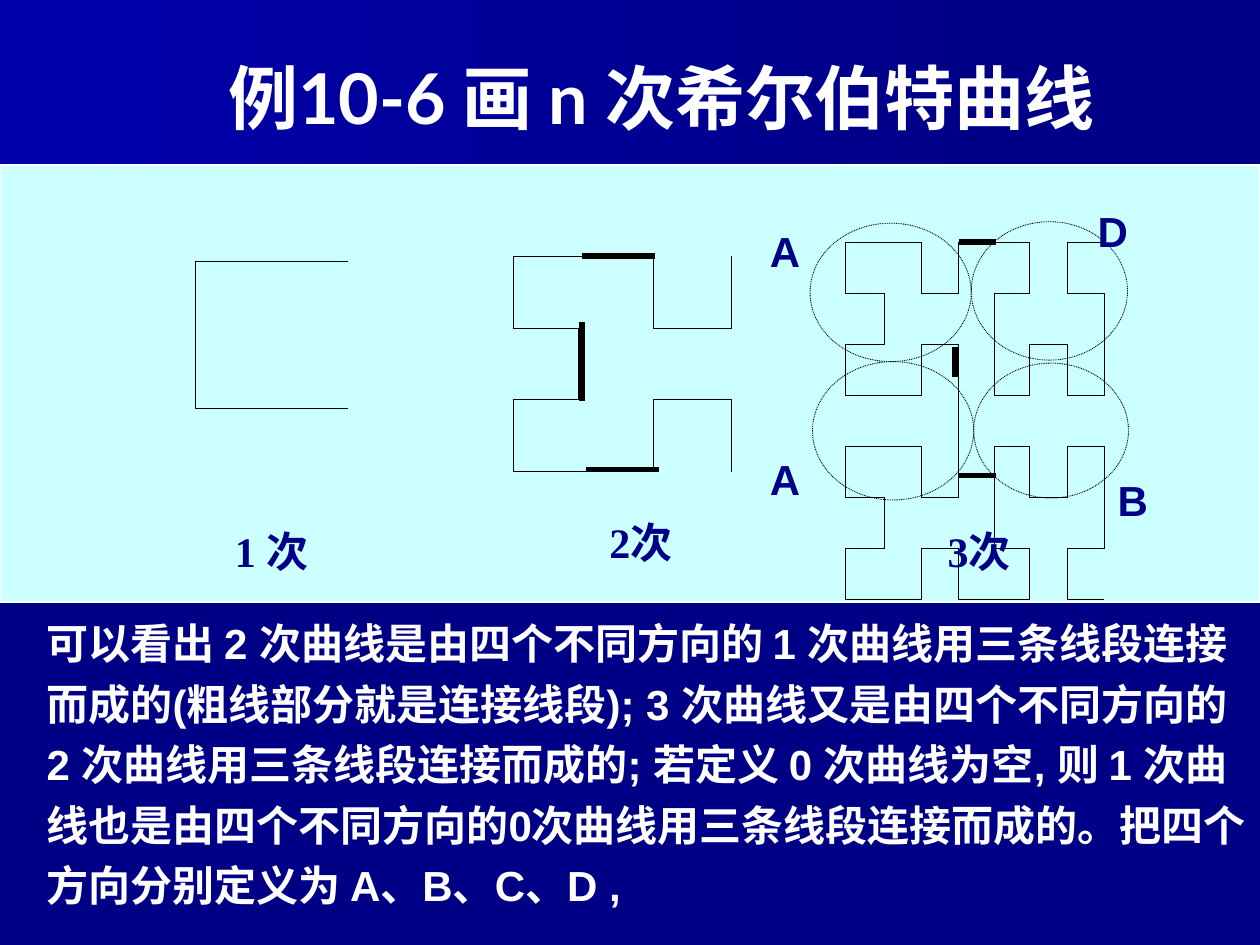
import pptx
import pptx.dml.color
import pptx.enum.dml
import pptx.enum.shapes
import pptx.enum.text
import pptx.oxml
import pptx.util
from lxml import etree
from pptx.oxml.ns import qn

Cm = pptx.util.Cm
Pt = pptx.util.Pt
SHAPES = pptx.enum.shapes.MSO_SHAPE
ALIGN = pptx.enum.text.PP_ALIGN
ANCHOR = pptx.enum.text.MSO_ANCHOR

COLORS = {
    "navy": "000086",
    "deep": "00007D",
    "bright": "0000AC",
    "panel": "CCFFFF",
    "white": "FFFFFF",
    "black": "000000",
}
NO_GRID_STYLE = "{2D5ABB26-0587-4C30-8999-92F81FD0307C}"
BODY = (
    "可以看出 2 次曲线是由四个不同方向的 1 次曲线用三条线段连接而成的(粗线部分就是连接线段); "
    "3 次曲线又是由四个不同方向的 2 次曲线用三条线段连接而成的; 若定义 0 次曲线为空, "
    "则 1 次曲线也是由四个不同方向的0次曲线用三条线段连接而成的。"
    "把四个方向分别定义为 A、B、C、D ,"
)


def rgb(name):
    return pptx.dml.color.RGBColor.from_string(COLORS[name])


def add_text(page, box, text, size, font, color, align=ALIGN.LEFT,
             anchor=ANCHOR.TOP, inset=(0.25, 0.13), spacing=None):
    shape = page.shapes.add_textbox(*map(Cm, box))
    frame = shape.text_frame
    frame.word_wrap = True
    frame.vertical_anchor = anchor
    frame.margin_left = frame.margin_right = Cm(inset[0])
    frame.margin_top = frame.margin_bottom = Cm(inset[1])
    para = frame.paragraphs[0]
    para.text = text
    para.alignment = align
    para.line_spacing = spacing
    para.font.size = Pt(size)
    para.font.name = font
    para.font.bold = True
    para.font.color.rgb = rgb(color)


def add_backdrop(page, box):
    """Draw the two slanted gradient bands behind the title."""
    left, top, width, height = box
    bands = [
        ([(7.78, 1.53), (0, 2.17), (0, 1.01), (7.79, 1.01), (7.78, 1.28)], "deep"),
        ([(7.92, 1.62), (0, 2.08), (0, 0), (7.92, 0)], "bright"),
    ]
    unit = width / 10
    for corners, color in bands:
        points = [(Cm(left + x * unit), Cm(top + y * unit)) for x, y in corners]
        builder = page.shapes.build_freeform(*points[0])
        builder.add_line_segments(points[1:], close=True)
        band = builder.convert_to_shape()
        band.shadow.inherit = False
        band.line.fill.background()
        band.fill.gradient()
        band.fill.gradient_angle = 180
        for stop, name in zip(band.fill.gradient_stops, ("navy", color)):
            stop.color.rgb = rgb(name)


def hilbert(order):
    """Return the grid points of the curve that opens to the right."""
    if order == 0:
        return [(0, 0)]
    small = hilbert(order - 1)
    side = 2 ** (order - 1)
    return ([(2 * side - 1 - y, side - 1 - x) for x, y in small]
            + small
            + [(x, y + side) for x, y in small]
            + [(y + side, x + side) for x, y in small])


def curve_borders(order):
    """Return the (row, column, side) cell borders that trace the curve."""
    borders = set()
    points = hilbert(order)
    for (x1, y1), (x2, y2) in zip(points, points[1:]):
        x, y = min(x1, x2), min(y1, y2)
        if y1 == y2:
            borders |= {(y, x, "T"), (y - 1, x, "B")}
        else:
            borders |= {(y, x, "L"), (y, x - 1, "R")}
    return borders


def add_border(cell, side, visible):
    border = etree.SubElement(cell._tc.get_or_add_tcPr(), qn(f"a:ln{side}"))
    if visible:
        border.set("w", str(Pt(0.45)))
        fill = etree.SubElement(border, qn("a:solidFill"))
        etree.SubElement(fill, qn("a:srgbClr")).set("val", COLORS["black"])
    else:
        etree.SubElement(border, qn("a:noFill"))


def add_curve(page, left, top, order, widths, row_height):
    count = 2 ** order - 1
    frame = page.shapes.add_table(count, count, Cm(left), Cm(top),
                                  Cm(sum(widths)), Cm(row_height * count))
    table = frame.table
    table.first_row = table.horz_banding = False
    table._tbl.tblPr.find(qn("a:tableStyleId")).text = NO_GRID_STYLE
    borders = curve_borders(order)
    for column, width in zip(table.columns, widths):
        column.width = Cm(width)
    for row in range(count):
        table.rows[row].height = Cm(row_height)
        for column in range(count):
            cell = table.cell(row, column)
            for side in "LRTB":
                add_border(cell, side, (row, column, side) in borders)
            cell.fill.background()


def add_link(page, x1, y1, x2, y2):
    link = page.shapes.add_connector(pptx.enum.shapes.MSO_CONNECTOR.STRAIGHT,
                                     *map(Cm, (x1, y1, x2, y2)))
    link.line.color.rgb = rgb("black")
    link.line.width = Pt(3)
    etree.SubElement(link._element.spPr, qn("a:effectLst"))


def add_ring(page, box):
    ring = page.shapes.add_shape(SHAPES.OVAL, *map(Cm, box))
    ring.shadow.inherit = False
    ring.fill.background()
    ring.line.color.rgb = rgb("black")
    ring.line.width = Pt(0.5)
    ring.line.dash_style = pptx.enum.dml.MSO_LINE.ROUND_DOT


def add_curve_panel(page, box):
    left, top, width, height = box
    panel = page.shapes.add_shape(SHAPES.RECTANGLE, *map(Cm, box))
    panel.shadow.inherit = False
    panel.fill.solid()
    panel.fill.fore_color.rgb = rgb("panel")
    panel.line.color.rgb = rgb("white")
    panel.line.width = Pt(0.75)

    curves = [
        (3.94, 1.93, [3.07], 2.97),
        (10.34, 1.83, [1.32, 1.52, 1.57], 1.45),
        (17.04, 1.55, [0.79, 0.74, 0.74, 0.74, 0.71, 0.76, 0.74], 0.69),
    ]
    for order, (x, y, widths, row_height) in enumerate(curves, 1):
        add_curve(page, left + x, top + y, order, widths, row_height)

    links = [
        (11.73, 1.83, 13.21, 1.83), (11.73, 3.17, 11.73, 4.75),
        (11.81, 6.14, 13.28, 6.14),
        (19.33, 1.55, 20.07, 1.55), (19.25, 3.66, 19.25, 4.26),
        (19.33, 6.25, 20.07, 6.25),
    ]
    for x1, y1, x2, y2 in links:
        add_link(page, left + x1, top + y1, left + x2, top + y2)

    rings = [(16.33, 1.17, 3.25, 2.79), (16.38, 3.96, 3.25, 2.79),
             (19.58, 1.14, 3.15, 2.79), (19.63, 3.99, 3.12, 2.72)]
    for x, y, ring_width, ring_height in rings:
        add_ring(page, (left + x, top + y, ring_width, ring_height))

    labels = [("A", 15.49, 1.19), ("D", 22.1, 0.78),
              ("B", 22.5, 6.2), ("A", 15.49, 5.79)]
    for letter, x, y in labels:
        add_text(page, (left + x, top + y, 1.19, 1.19), letter, 24, "Arial",
                 "navy", inset=(0.03, 0.03))

    captions = [("1 次", 2.49, 2.59, 5.97, 5.72), ("2次", 10.24, 1.72, 5.36, 6.4),
                ("3次", 18.24, 7.03, 3, 1.27)]
    for text, x, y, text_width, text_height in captions:
        add_text(page, (left + x, top + y, text_width, text_height), text, 24,
                 "Times New Roman", "navy", ALIGN.CENTER, ANCHOR.BOTTOM, (0.03, 0.03))


def main():
    deck = pptx.Presentation()
    deck.slide_width, deck.slide_height = Cm(25.4), Cm(19.05)
    page = deck.slides.add_slide(deck.slide_layouts[6])
    page.background.fill.solid()
    page.background.fill.fore_color.rgb = rgb("navy")
    add_backdrop(page, (0, 0, 25.4, 5.51))
    add_curve_panel(page, (0, 3.33, 25.4, 8.81))
    add_text(page, (1.27, 0.76, 24.13, 2.36), "例10-6 画 n 次希尔伯特曲线", 40,
             "Lato", "white", ALIGN.CENTER, ANCHOR.MIDDLE)
    add_text(page, (0.69, 12.12, 24.71, 6.35), BODY, 24, "Arial", "white",
             anchor=ANCHOR.MIDDLE, spacing=1.2)
    deck.save("out.pptx")


if __name__ == "__main__":
    main()
